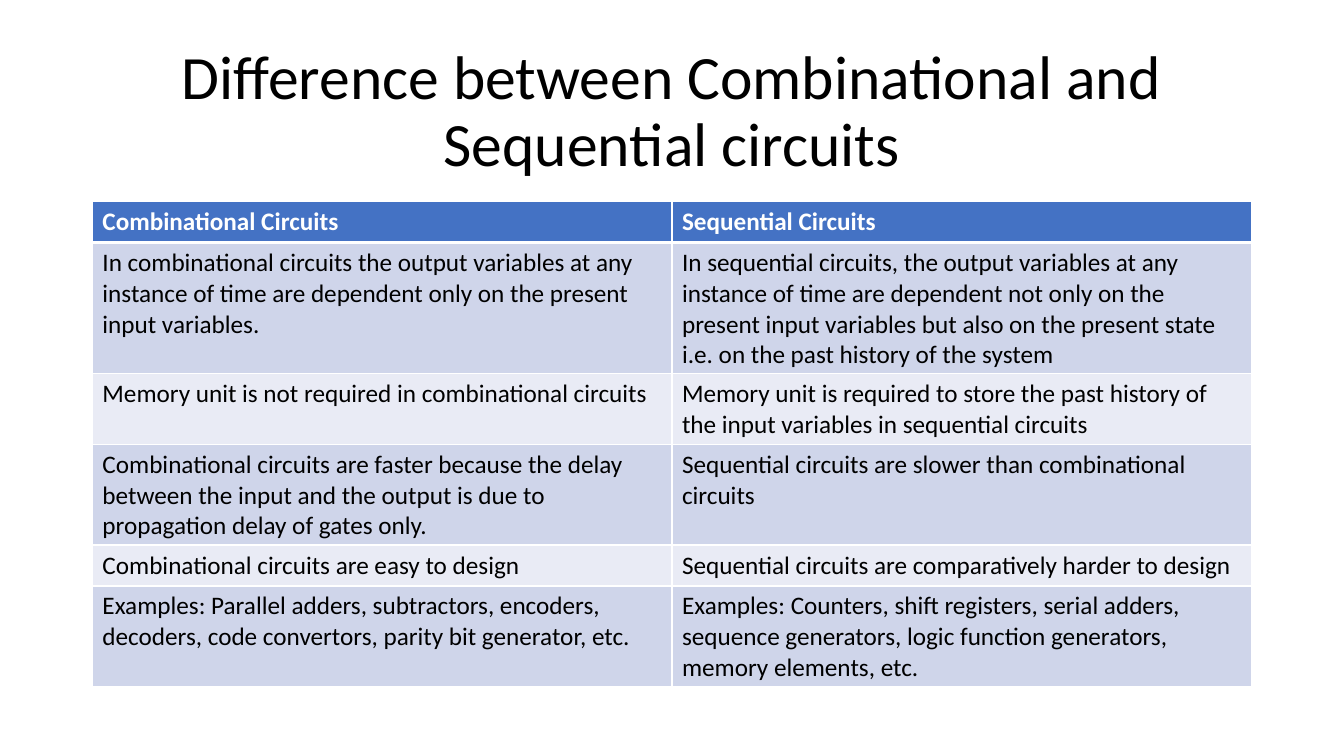
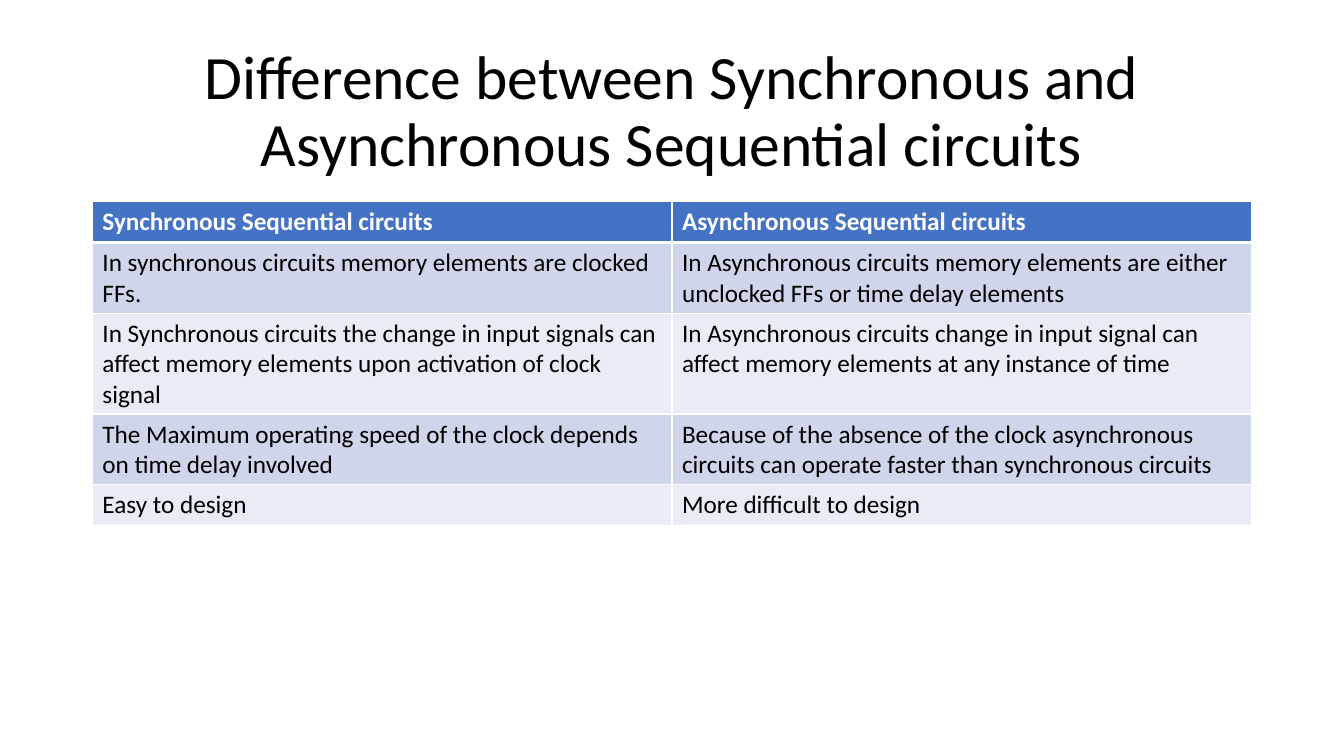
from lxml.etree import SubElement
from pptx import Presentation
from pptx.dml.color import RGBColor
from pptx.enum.text import MSO_ANCHOR as Anchor, PP_ALIGN as Align
from pptx.oxml.ns import qn
from pptx.util import Pt

PX = 9525
SLIDE_W, SLIDE_H = 1280, 720
LEFT, CONTENT_W = 88, 1104
TITLE_TOP, TITLE_H = 38, 139
TABLE_TOP, ROW_H = 192, 39

FONT = "Calibri"
BLACK = RGBColor(0x00, 0x00, 0x00)
WHITE = RGBColor(0xFF, 0xFF, 0xFF)
HEADER_BLUE = RGBColor(0x44, 0x72, 0xC4)
BANDS = (RGBColor(0xCF, 0xD5, 0xEA), RGBColor(0xE9, 0xEB, 0xF5))

COMPARISONS = [
    ("Difference between Combinational and Sequential circuits", [
        ("Combinational Circuits", "Sequential Circuits"),
        ("In combinational circuits the output variables at any instance of time "
         "are dependent only on the present input variables.",
         "In sequential circuits, the output variables at any instance of time are "
         "dependent not only on the present input variables but also on the present "
         "state i.e. on the past history of the system"),
        ("Memory unit is not required in combinational circuits",
         "Memory unit is required to store the past history of the input variables "
         "in sequential circuits"),
        ("Combinational circuits are faster because the delay between the input and "
         "the output is due to propagation delay of gates only.",
         "Sequential circuits are slower than combinational circuits"),
        ("Combinational circuits are easy to design",
         "Sequential circuits are comparatively harder to design"),
        ("Examples: Parallel adders, subtractors, encoders, decoders, code "
         "convertors, parity bit generator, etc.",
         "Examples: Counters, shift registers, serial adders, sequence generators, "
         "logic function generators, memory elements, etc."),
    ]),
    ("Difference between Synchronous and Asynchronous Sequential circuits", [
        ("Synchronous Sequential circuits", "Asynchronous Sequential circuits"),
        ("In synchronous circuits memory elements are clocked FFs.",
         "In Asynchronous circuits memory elements are either unclocked FFs or time "
         "delay elements"),
        ("In Synchronous circuits the change in input signals can affect memory "
         "elements upon activation of clock signal",
         "In Asynchronous circuits change in input signal can affect memory elements "
         "at any instance of time"),
        ("The Maximum operating speed of the clock depends on time delay involved",
         "Because of the absence of the clock asynchronous circuits can operate "
         "faster than synchronous circuits"),
        ("Easy to design", "More difficult to design"),
    ]),
]


def add_run(paragraph, text, size, color, bold=False):
    run = paragraph.add_run()
    run.text = text
    font = run.font
    font.name, font.size, font.bold = FONT, Pt(size), bold
    font.color.rgb = color


def add_title(slide, text):
    title = slide.shapes.add_textbox(LEFT * PX, TITLE_TOP * PX,
                                     CONTENT_W * PX, TITLE_H * PX)
    frame = title.text_frame
    frame.word_wrap = True
    frame.vertical_anchor = Anchor.MIDDLE
    paragraph = frame.paragraphs[0]
    paragraph.alignment = Align.CENTER
    paragraph.line_spacing = 0.9
    add_run(paragraph, text, 44, BLACK)


def set_borders(cell, top, bottom):
    """Draw white borders; must run before the fill, which follows them in the XML."""
    properties = cell._tc.get_or_add_tcPr()
    for side, width in (("L", 1), ("R", 1), ("T", top), ("B", bottom)):
        line = SubElement(properties, qn(f"a:ln{side}"), w=str(Pt(width)))
        fill = SubElement(line, qn("a:solidFill"))
        SubElement(fill, qn("a:srgbClr"), val=str(WHITE))


def fill_cell(cell, text, row):
    is_header = row == 0
    set_borders(cell, top=3 if row == 1 else 1, bottom=3 if is_header else 1)
    cell.fill.solid()
    cell.fill.fore_color.rgb = HEADER_BLUE if is_header else BANDS[(row - 1) % 2]
    add_run(cell.text_frame.paragraphs[0], text, 18,
            WHITE if is_header else BLACK, is_header)


def add_comparison_table(slide, rows):
    table = slide.shapes.add_table(len(rows), len(rows[0]), LEFT * PX, TABLE_TOP * PX,
                                   CONTENT_W * PX, len(rows) * ROW_H * PX).table
    for row, texts in enumerate(rows):
        for column, text in enumerate(texts):
            fill_cell(table.cell(row, column), text, row)


def main():
    deck = Presentation()
    deck.slide_width, deck.slide_height = SLIDE_W * PX, SLIDE_H * PX
    blank = deck.slide_layouts[6]
    for title, rows in COMPARISONS:
        slide = deck.slides.add_slide(blank)
        add_title(slide, title)
        add_comparison_table(slide, rows)
    deck.save("out.pptx")


if __name__ == "__main__":
    main()
